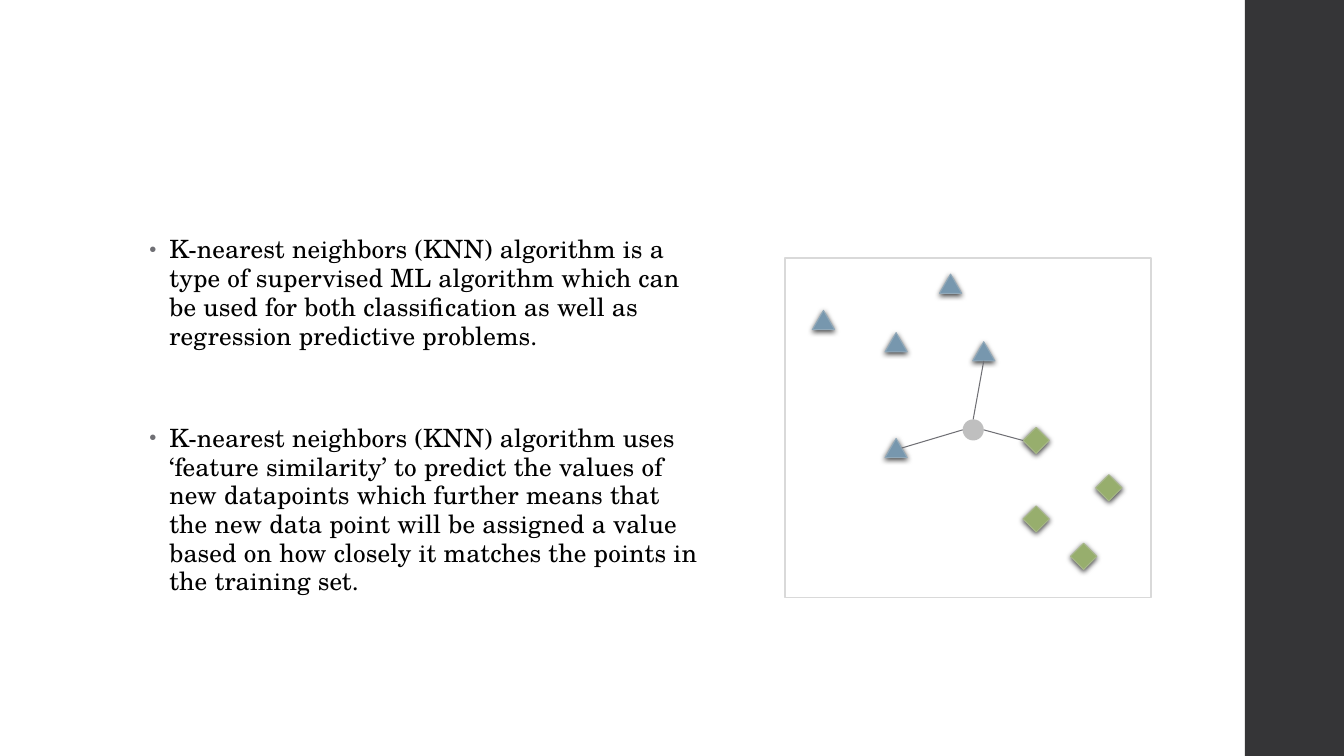
from lxml import etree
from pptx import Presentation
from pptx.dml.color import RGBColor
from pptx.enum import shapes, text
from pptx.oxml import ns
from pptx.util import Pt

COLORS = {
    "bar": "353537", "text": "000000", "muted": "6F6F74", "frame": "D9D9D9",
    "triangle": "7797AE", "triangle_edge": "92A9B9",
    "diamond": "97AE6D", "diamond_edge": "A7B789", "query": "BFBFBF",
}
FONT = "TeX Gyre Schola"
PARAGRAPHS = [
    "K-nearest neighbors (KNN) algorithm is a type of supervised ML algorithm which can be used for "
    "both classification as well as regression predictive problems.",
    "K-nearest neighbors (KNN) algorithm uses ‘feature similarity’ to predict the values of new "
    "datapoints which further means that the new data point will be assigned a value based on how "
    "closely it matches the points in the training set.",
]
TRIANGLES = [(19.4, 37.4), (71.3, 53.3), (133.9, 59.8), (71.3, 128.9), (110.2, 11.5)]
DIAMONDS = [(221.8, 154.8), (169.9, 121), (169.9, 177.1), (203.8, 203.8)]
QUERY = (126.7, 115.2)
TRIANGLE_SIZE = (15.8, 13.7)
DIAMOND_SIZE = (18.7, 18.7)
QUERY_SIZE = (15.1, 15.1)


def color(name):
    return RGBColor.from_string(COLORS[name])


def add_element(parent, tag, **attributes):
    return etree.SubElement(parent, ns.qn(tag), attributes)


def add_figure(page, kind, left, top, width, height, fill=None, edge=None, weight=0.75, shadow=False):
    figure = page.shapes.add_shape(kind, Pt(left), Pt(top), Pt(width), Pt(height))
    figure.shadow.inherit = False
    if fill:
        figure.fill.solid()
        figure.fill.fore_color.rgb = color(fill)
    else:
        figure.fill.background()
    if edge:
        figure.line.color.rgb = color(edge)
        figure.line.width = Pt(weight)
    else:
        figure.line.fill.background()
    if shadow:
        effects = figure._element.spPr.find(ns.qn("a:effectLst"))
        outer = add_element(effects, "a:outerShdw", blurRad=str(Pt(4)), dist=str(Pt(1.2)),
                            dir="5400000", rotWithShape="0")
        shade = add_element(outer, "a:srgbClr", val="000000")
        add_element(shade, "a:alpha", val="75000")
    return figure


def add_link(page, start, end):
    link = page.shapes.add_connector(shapes.MSO_CONNECTOR.STRAIGHT, *map(Pt, start + end))
    link.line.color.rgb = color("muted")
    link.line.width = Pt(0.75)
    add_element(link._element.spPr, "a:effectLst")
    return link


def write_bullet(para, content, size=18, before=0, after=2, indent=14.4):
    properties = para._p.get_or_add_pPr()
    properties.set("marL", str(Pt(indent)))
    properties.set("indent", str(-Pt(indent)))
    bullet_color = add_element(properties, "a:buClr")
    add_element(bullet_color, "a:srgbClr", val=COLORS["muted"])
    add_element(properties, "a:buSzPct", val="80000")
    add_element(properties, "a:buChar", char="•")
    para.alignment = text.PP_ALIGN.LEFT
    para.line_spacing = 0.95
    para.space_before = Pt(before)
    para.space_after = Pt(after)
    span = para.add_run()
    span.text = content
    span.font.name = FONT
    span.font.size = Pt(size)
    span.font.color.rgb = color("text")
    span._r.get_or_add_rPr().set("spc", "10")


def fill_body(page, left, top, width, height):
    body = page.placeholders[1]
    body.left, body.top, body.width, body.height = map(Pt, (left, top, width, height))
    frame = body.text_frame
    frame.word_wrap = True
    frame.auto_size = text.MSO_AUTO_SIZE.NONE
    frame.vertical_anchor = text.MSO_ANCHOR.TOP
    for index, content in enumerate(PARAGRAPHS):
        para = frame.add_paragraph() if index else frame.paragraphs[0]
        write_bullet(para, content, before=50.5 if index else 0)


def draw_neighbors(page, left, top, width, height):
    kinds = shapes.MSO_SHAPE

    def place(offset):
        return left + offset[0], top + offset[1]

    add_figure(page, kinds.RECTANGLE, left, top, width, height, edge="frame", weight=1.1)
    query = add_figure(page, kinds.OVAL, *place(QUERY), *QUERY_SIZE, fill="query")
    for offset in TRIANGLES:
        add_figure(page, kinds.ISOSCELES_TRIANGLE, *place(offset), *TRIANGLE_SIZE,
                   fill="triangle", edge="triangle_edge", shadow=True)
    diamonds = [add_figure(page, kinds.DIAMOND, *place(offset), *DIAMOND_SIZE,
                           fill="diamond", edge="diamond_edge", shadow=True)
                for offset in DIAMONDS]

    def anchor(offset, size, across, down):
        x, y = place(offset)
        return x + size[0] * across, y + size[1] * down

    add_link(page, anchor(TRIANGLES[3], TRIANGLE_SIZE, 0.75, 0.5), anchor(QUERY, QUERY_SIZE, 0, 0.5))
    upper = add_link(page, anchor(TRIANGLES[2], TRIANGLE_SIZE, 0.5, 1), anchor(QUERY, QUERY_SIZE, 0.5, 0))
    upper.end_connect(query, 0)
    right = add_link(page, anchor(DIAMONDS[1], DIAMOND_SIZE, 0, 0.5), anchor(QUERY, QUERY_SIZE, 1, 0.5))
    right.begin_connect(diamonds[1], 1)


def main():
    deck = Presentation()
    deck.slide_width, deck.slide_height = Pt(960), Pt(540)
    page = deck.slides.add_slide(deck.slide_layouts[1])
    title = page.shapes.title._element
    title.getparent().remove(title)
    add_figure(page, shapes.MSO_SHAPE.RECTANGLE, 889.2, 0, 70.8, 540, fill="bar")
    fill_body(page, 99.4, 164.9, 406.8, 321.8)
    draw_neighbors(page, 560.9, 184.3, 261.4, 242.6)
    deck.save("out.pptx")


if __name__ == "__main__":
    main()
